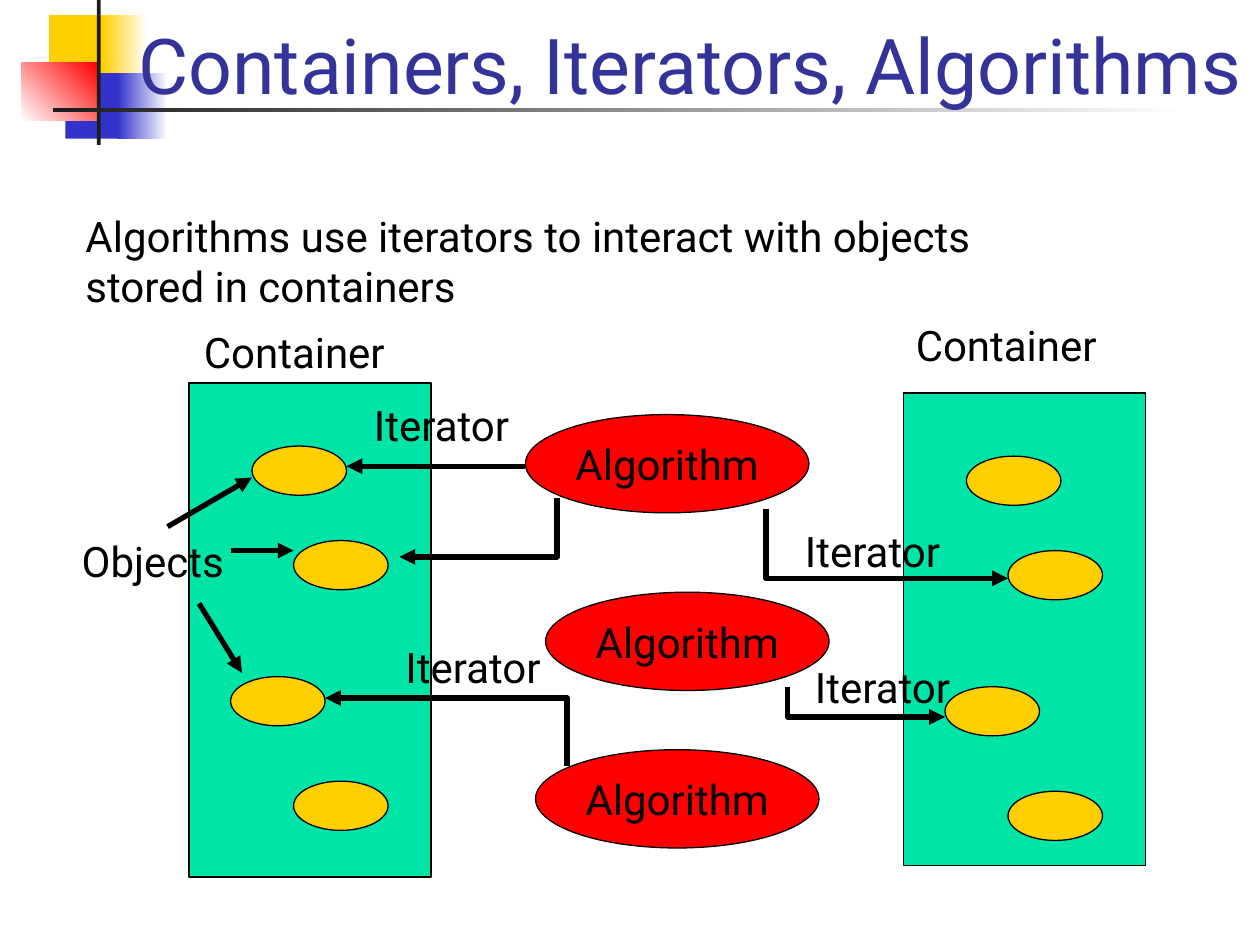
from dataclasses import dataclass

from lxml.etree import SubElement
from pptx import Presentation
from pptx.dml.color import RGBColor as RGB
from pptx.enum.shapes import MSO_CONNECTOR as CONN, MSO_SHAPE as SHAPE
from pptx.enum.text import MSO_ANCHOR as ANCHOR, PP_ALIGN as ALIGN
from pptx.oxml.ns import qn
from pptx.util import Inches, Pt


@dataclass(frozen=True)
class Theme:
    font: str = "Roboto"
    title_size: int = 44
    body_size: int = 24
    outline: float = 0.75
    arrow: float = 3
    title: str = "333399"
    ink: str = "000000"
    white: str = "FFFFFF"
    dark: str = "1C1C1C"
    yellow: str = "FFCF01"
    blue: str = "3333CC"
    red: str = "FF0000"
    green: str = "00E4A8"


T = Theme()
OBJECT_OFFSETS = [(0.5, 0.5), (0.83, 1.25), (0.33, 2.33), (0.83, 3.16)]


def rgb(value):
    return RGB.from_string(value)


def style_text(tf, size, color, align):
    for p in tf.paragraphs:
        p.alignment = align
        for r in p.runs:
            r.font.name = T.font
            r.font.size = Pt(size)
            r.font.color.rgb = rgb(color)


def add_text(s, text, x, y, w, h, size=T.body_size, color=T.ink, anchor=ANCHOR.TOP):
    tf = s.shapes.add_textbox(Inches(x), Inches(y), Inches(w), Inches(h)).text_frame
    tf.text = text
    tf.word_wrap = True
    tf.vertical_anchor = anchor
    style_text(tf, size, color, ALIGN.LEFT)


def add_shape(s, kind, x, y, w, h, fill, outlined=True):
    sp = s.shapes.add_shape(kind, Inches(x), Inches(y), Inches(w), Inches(h))
    sp.shadow.inherit = False
    sp.fill.solid()
    sp.fill.fore_color.rgb = rgb(fill)
    if outlined:
        sp.line.color.rgb = rgb(T.ink)
        sp.line.width = Pt(T.outline)
    else:
        sp.line.fill.background()
    return sp


def add_block(s, x, y, w, h, start, end=None, angle=0):
    sp = add_shape(s, SHAPE.RECTANGLE, x, y, w, h, start, outlined=False)
    if end:
        sp.fill.gradient()
        sp.fill.gradient_angle = angle
        for stop, color in zip(sp.fill.gradient_stops, (start, end)):
            stop.color.rgb = rgb(color)


def add_container(s, x, y, h):
    add_shape(s, SHAPE.RECTANGLE, x, y, 1.92, h, T.green)
    for dx, dy in OBJECT_OFFSETS:
        add_shape(s, SHAPE.OVAL, x + dx, y + dy, 0.75, 0.39, T.yellow)


def add_algorithm(s, x, y):
    sp = add_shape(s, SHAPE.OVAL, x, y, 2.25, 0.78, T.red)
    tf = sp.text_frame
    tf.text = "Algorithm"
    tf.word_wrap = False
    tf.vertical_anchor = ANCHOR.MIDDLE
    style_text(tf, T.body_size, T.ink, ALIGN.CENTER)


def style_arrow(sp):
    sp.line.color.rgb = rgb(T.ink)
    sp.line.width = Pt(T.arrow)
    SubElement(sp.line._get_or_add_ln(), qn("a:tailEnd"), type="triangle")


def add_arrow(s, *ends):
    sp = s.shapes.add_connector(CONN.STRAIGHT, *map(Inches, ends))
    style_arrow(sp)
    SubElement(sp._element.spPr, qn("a:effectLst"))


def add_elbow(s, x1, y1, x2, y2):
    fb = s.shapes.build_freeform(Inches(x1), Inches(y1))
    fb.add_line_segments([(Inches(x1), Inches(y2)), (Inches(x2), Inches(y2))], close=False)
    sp = fb.convert_to_shape()
    sp.shadow.inherit = False
    sp.fill.background()
    effects = sp._element.spPr.find(qn("a:effectLst"))
    style_arrow(sp)
    sp._element.spPr.append(effects)


def add_header(s):
    add_block(s, 0.39, 0.12, 0.48, 0.52, T.yellow)
    add_block(s, 0.81, 0.12, 0.36, 0.52, T.yellow, T.white)
    add_block(s, 0.52, 0.58, 0.46, 0.52, T.blue)
    add_block(s, 0.93, 0.58, 0.4, 0.52, T.blue, T.white)
    add_block(s, 0.17, 0.5, 0.61, 0.46, T.white, T.red, angle=45)
    add_block(s, 0.77, 0, 0.03, 1.15, T.dark)
    add_block(s, 0.42, 0.86, 9, 0.03, T.dark, T.white)
    add_text(s, "Containers, Iterators, Algorithms", 1, -0.33, 9.42, 1.25,
             T.title_size, T.title, ANCHOR.BOTTOM)


def main():
    prs = Presentation()
    prs.slide_width, prs.slide_height = Inches(10), Inches(7.5)
    s = prs.slides.add_slide(prs.slide_layouts[6])

    add_header(s)
    add_text(s, "Algorithms use iterators to interact with objects\nstored in containers",
             0.58, 1.62, 7.66, 0.9)

    add_container(s, 1.5, 3.04, 3.92)
    add_container(s, 7.17, 3.12, 3.75)
    for x, y in [(4.17, 3.29), (4.33, 4.7), (4.25, 5.95)]:
        add_algorithm(s, x, y)

    for ends in [(4.17, 3.7, 2.75, 3.7), (1.83, 4.37, 2.33, 4.37),
                 (1.58, 4.79, 1.92, 5.34), (1.33, 4.18, 2, 3.79)]:
        add_arrow(s, *ends)
    for ends in [(4.42, 3.95, 3.17, 4.42), (6.08, 4.04, 8, 4.59),
                 (4.5, 6.08, 2.58, 5.54), (6.25, 5.45, 7.5, 5.69)]:
        add_elbow(s, *ends)

    for x, y in [(1.52, 2.54), (7.17, 2.49)]:
        add_text(s, "Container", x, y, 1.74, 0.5)
    for x, y in [(2.87, 3.12), (6.37, 5.2), (3.12, 5.04), (6.29, 4.12)]:
        add_text(s, "Iterator", x, y, 1.4, 0.5)
    add_text(s, "Objects", 0.55, 4.2, 1.38, 0.5)

    prs.save("out.pptx")


if __name__ == "__main__":
    main()
